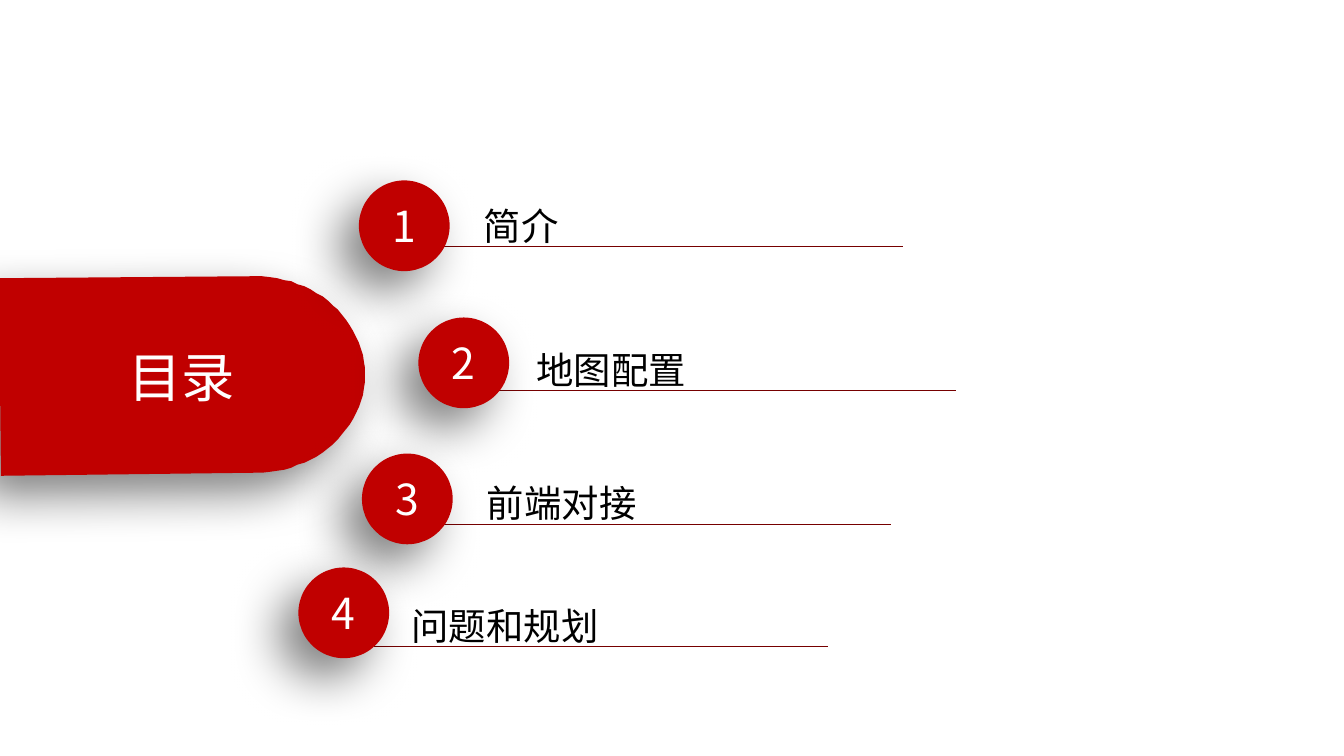
"""Build the contents slide: a title tab and four numbered, underlined entries."""
from lxml import etree
from pptx import Presentation
from pptx import util as u
from pptx.dml.color import RGBColor
from pptx.enum import shapes, text
from pptx.oxml.ns import qn

PX = 9144
FONT = "Noto Sans CJK SC"
RED = RGBColor(0xC0, 0x00, 0x00)
DARK_RED = RGBColor(0x76, 0x00, 0x00)
WHITE = RGBColor(0xFF, 0xFF, 0xFF)
BLACK = RGBColor(0x00, 0x00, 0x00)

TITLE = "目录"
ENTRIES = [
    {"label": "简介", "circle": (356, 179), "rule": (438, 896, 245), "box": (469, 196, 443)},
    {"label": "地图配置", "circle": (415, 315), "rule": (490, 948, 387), "box": (521, 338, 405)},
    {"label": "前端对接", "circle": (359, 450), "rule": (434, 884, 520), "box": (472, 470, 412)},
    {"label": "问题和规划", "circle": (296, 563), "rule": (371, 821, 641), "box": (397, 592, 412)},
]
CIRCLE, BOX_HEIGHT = 90, 56
TAB_START, TAB_END = (-1, 276), (1, 472)
TAB_CURVES = [
    ((253, 274), (313, 274), (362, 318), (362, 372)),
    ((362, 372), (362, 426), (313, 469), (253, 469)),
]
CURVE_STEPS = 24

TITLE_FORMAT = {"size": 38.1, "color": WHITE, "align": text.PP_ALIGN.CENTER}
NUMBER_FORMAT = {"size": 30.5, "color": WHITE, "align": text.PP_ALIGN.CENTER}
LABEL_FORMAT = {"size": 26.7, "color": BLACK, "align": text.PP_ALIGN.LEFT}
BOX_FORMAT = {
    "margin_left": 11 * PX, "margin_right": 11 * PX,
    "margin_top": 6 * PX, "margin_bottom": 6 * PX,
    "word_wrap": True, "auto_size": text.MSO_AUTO_SIZE.SHAPE_TO_FIT_TEXT,
}
SHADOW = {"blurRad": u.Pt(35), "dist": u.Pt(20), "dir": 135 * 60000,
          "algn": "tr", "rotWithShape": 0}


def px(*lengths):
    return [n * PX for n in lengths]


def write(sp, words, style):
    p = sp.text_frame.paragraphs[0]
    p.alignment = style["align"]
    r = p.add_run()
    r.text = words
    r.font.size = u.Pt(style["size"])
    r.font.color.rgb = style["color"]
    r.font.name = FONT
    etree.SubElement(r.font._element, qn("a:ea"), typeface=FONT)


def paint(sp):
    sp.fill.solid()
    sp.fill.fore_color.rgb = RED
    sp.line.fill.background()
    sp.shadow.inherit = False
    effects = sp._element.spPr.find(qn("a:effectLst"))
    shadow = etree.SubElement(effects, qn("a:outerShdw"),
                              {k: str(v) for k, v in SHADOW.items()})
    color = etree.SubElement(shadow, qn("a:srgbClr"), val="000000")
    etree.SubElement(color, qn("a:alpha"), val="50000")
    sp.text_frame.vertical_anchor = text.MSO_ANCHOR.MIDDLE


def curve_points(curve):
    for i in range(CURVE_STEPS + 1):
        t = i / CURVE_STEPS
        weights = ((1 - t) ** 3, 3 * t * (1 - t) ** 2, 3 * t * t * (1 - t), t ** 3)
        yield tuple(sum(w * pt[axis] for w, pt in zip(weights, curve)) for axis in (0, 1))


def add_rule(s, x1, x2, y):
    line = s.shapes.add_connector(shapes.MSO_CONNECTOR.STRAIGHT, *px(x1, y, x2, y))
    line.line.color.rgb = DARK_RED
    line.line.width = u.Pt(0.75)
    etree.SubElement(line._element.spPr, qn("a:effectLst"))


def add_tab(s):
    builder = s.shapes.build_freeform(*TAB_START, scale=PX)
    points = [pt for curve in TAB_CURVES for pt in curve_points(curve)]
    builder.add_line_segments(points + [TAB_END], close=True)
    sp = builder.convert_to_shape()
    paint(sp)
    write(sp, TITLE, TITLE_FORMAT)


def add_number(s, number, x, y):
    sp = s.shapes.add_shape(shapes.MSO_SHAPE.OVAL, *px(x, y, CIRCLE, CIRCLE))
    paint(sp)
    write(sp, str(number), NUMBER_FORMAT)


def add_label(s, label, x, y, width):
    sp = s.shapes.add_textbox(*px(x, y, width, BOX_HEIGHT))
    for name, value in BOX_FORMAT.items():
        setattr(sp.text_frame, name, value)
    write(sp, label, LABEL_FORMAT)


def main():
    prs = Presentation()
    prs.slide_width, prs.slide_height = px(1333, 750)
    s = prs.slides.add_slide(prs.slide_layouts[6])
    for entry in ENTRIES:
        add_rule(s, *entry["rule"])
    add_tab(s)
    for number, entry in enumerate(ENTRIES, 1):
        add_number(s, number, *entry["circle"])
        add_label(s, entry["label"], *entry["box"])
    prs.save("out.pptx")


if __name__ == "__main__":
    main()
